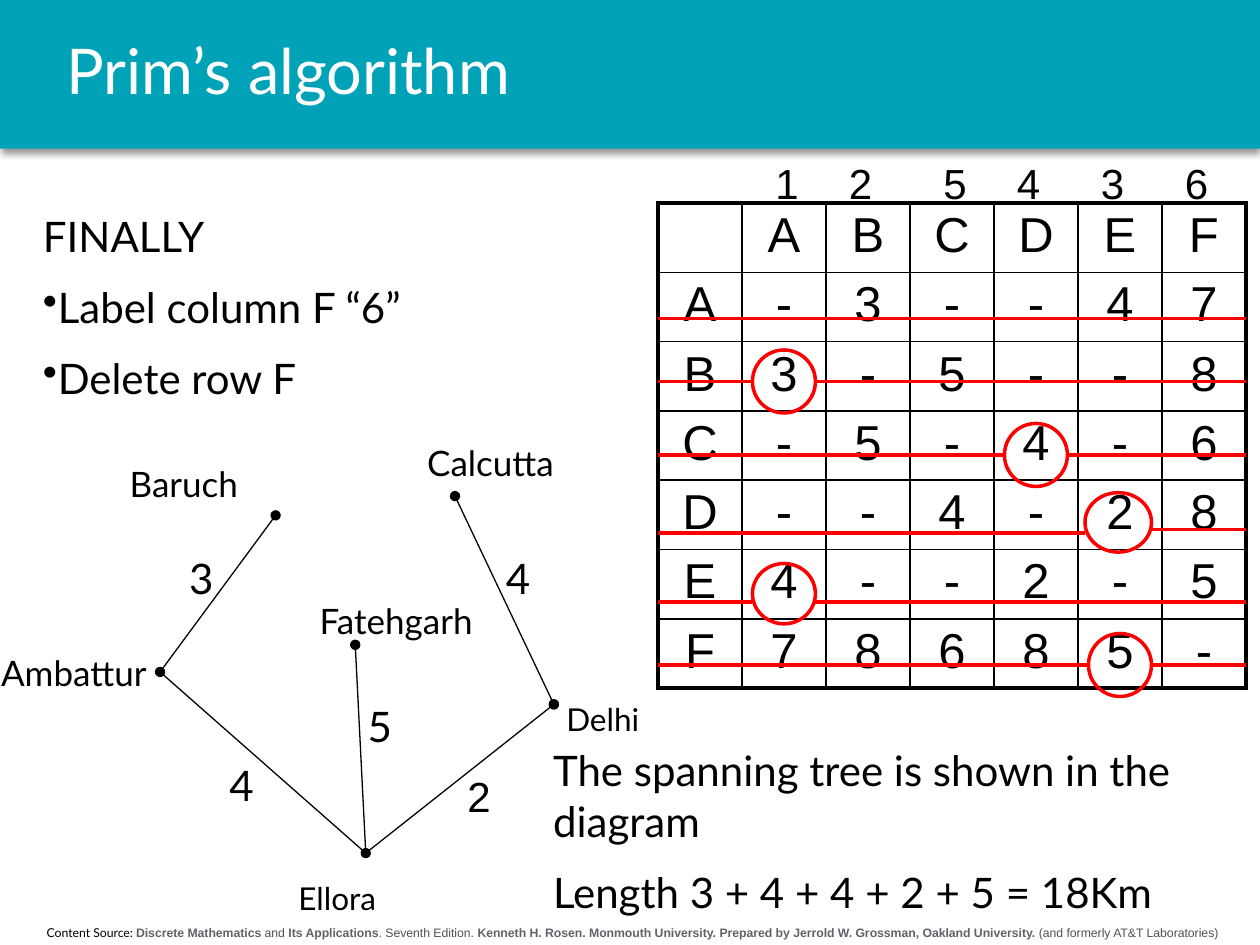
"""Builds the closing slide of a worked example of Prim's algorithm."""
from typing import NamedTuple, Optional

from lxml import etree
from pptx import Presentation
from pptx import util as u
from pptx.dml import color
from pptx.enum import shapes, text
from pptx.oxml import ns

BLACK, RED, TEAL, WHITE = "000000", "FF0000", "00A2B8", "FFFFFF"
TABLE_LEFT, TABLE_TOP, COLUMN_WIDTH, ROW_HEIGHT = 376, 116, 48, 38.4


class Span(NamedTuple):
    text: str
    size: float = 24
    font: str = "Lato"
    color: str = BLACK
    bold: bool = False


class Label(NamedTuple):
    left: float
    top: float
    width: float
    height: float
    span: Span


class Circle(NamedTuple):
    left: float
    top: float
    width: float
    height: float


class Strike(NamedTuple):
    left_y: float
    right_y: float
    circle: Optional[Circle] = None


class Edge(NamedTuple):
    start: str
    end: str
    dot_at_start: bool = False


MATRIX = [" ABCDEF", "A-3--47", "B3-5--8", "C-5-4-6", "D--4-28", "E4--2-5", "F78685-"]
COLUMN_ORDER = [(436, "1"), (478, "2"), (532, "5"), (574, "4"), (622, "3"), (670, "6")]
STRIKES = [
    Strike(182, 182),
    Strike(218, 218, Circle(430, 200, 36, 36)),
    Strike(260, 260, Circle(574, 242, 36, 36)),
    Strike(304.5, 302.5, Circle(620, 281.5, 38, 34)),
    Strike(344, 344, Circle(430, 322, 36, 34.5)),
    Strike(380, 380, Circle(622, 362, 36, 36)),
]
TOWNS = {
    "Ambattur": (91.5, 384),
    "Baruch": (157.5, 294.5),
    "Calcutta": (260, 283.5),
    "Delhi": (316.5, 402.5),
    "Ellora": (209, 487.5),
    "Fatehgarh": (203, 368.5),
}
EDGES = [
    Edge("Ambattur", "Baruch", True),
    Edge("Ambattur", "Ellora"),
    Edge("Ellora", "Delhi"),
    Edge("Calcutta", "Delhi", True),
    Edge("Ellora", "Fatehgarh"),
]
LABELS = [
    Label(-6.5, 368.5, 107, 31.5, Span("Ambattur", 20)),
    Label(67, 260.5, 111, 31, Span("Baruch", 20)),
    Label(237, 249, 102, 31, Span("Calcutta", 20)),
    Label(175.5, 339, 109.5, 31.5, Span("Fatehgarh", 20)),
    Label(163.5, 499, 75, 29, Span("Ellora", 18)),
    Label(316.5, 396.5, 109, 29, Span("Delhi", 18)),
    Label(101, 312, 45, 36, Span("3")),
    Label(124, 430.5, 45, 36, Span("4")),
    Label(260, 436.5, 51, 36, Span("2", font="Arial")),
    Label(282, 312, 51, 36, Span("4")),
    Label(203, 396.5, 51, 36, Span("5")),
] + [Label(left, 86.5, 30, 36, Span(digit, font="Arial")) for left, digit in COLUMN_ORDER]


def source_span(words: str, bold: bool) -> Span:
    """Return one piece of the source line."""
    return Span(words, 7, "Arial", "5F6368" if bold else "4D5156", bold)


SOURCE = [
    Span("Content Source: ", 7),
    source_span("Discrete Mathematics", True),
    source_span(" and ", False),
    source_span("Its Applications", True),
    source_span(". Seventh Edition. ", False),
    source_span("Kenneth H. Rosen. Monmouth University. Prepared by Jerrold W. Grossman, "
                "Oakland University.", True),
    source_span(" (and formerly AT&T Laboratories)", False),
]


def rgb(value: str) -> color.RGBColor:
    """Turn a hex string into a colour."""
    return color.RGBColor.from_string(value)


def add_element(parent, tag: str, **attributes: str):
    """Append a drawing element to a parent."""
    return etree.SubElement(parent, ns.qn(tag), attributes)


def apply(target, values: dict) -> None:
    """Set each named attribute on the target."""
    for name, value in values.items():
        setattr(target, name, value)


def write(para, spans: list, **formats) -> None:
    """Fill a paragraph with formatted spans."""
    apply(para, formats)
    for span in spans:
        run = para.add_run()
        run.text = span.text
        apply(run.font, {"name": span.font, "size": u.Pt(span.size), "bold": span.bold})
        run.font.color.rgb = rgb(span.color)


def add_box(page, left: float, top: float, width: float, height: float):
    """Add a wrapping text box and return its text frame."""
    frame = page.shapes.add_textbox(*map(u.Pt, (left, top, width, height))).text_frame
    apply(frame, {"word_wrap": True, "auto_size": text.MSO_AUTO_SIZE.SHAPE_TO_FIT_TEXT})
    return frame


def add_lines(frame, lines: list, bulleted_from: int) -> None:
    """Write spaced paragraphs, with bullets from a given index on."""
    for index, words in enumerate(lines):
        para = frame.add_paragraph() if index else frame.paragraphs[0]
        if index >= bulleted_from:
            add_element(para._p.get_or_add_pPr(), "a:buChar", char="•")
        write(para, [Span(words)], space_before=u.Pt(12 if index else 0))


def add_line(page, start: tuple, end: tuple, hue: str, weight: float, ends: tuple = ()) -> None:
    """Draw a straight line with a dot at each named end."""
    line = page.shapes.add_connector(shapes.MSO_CONNECTOR.STRAIGHT, *map(u.Pt, start + end))
    line.line.color.rgb = rgb(hue)
    line.line.width = u.Pt(weight)
    for tag in ends:
        add_element(line.line._get_or_add_ln(), tag, type="oval")
    add_element(line._element.spPr, "a:effectLst")


def add_banner(page) -> None:
    """Draw the title band with its soft shadow and title."""
    band = page.shapes.add_shape(shapes.MSO_SHAPE.RECTANGLE, 0, 0, u.Pt(720), u.Pt(85))
    band.fill.solid()
    band.fill.fore_color.rgb = rgb(TEAL)
    band.line.fill.background()
    band.shadow.inherit = False
    effects = band._element.spPr.find(ns.qn("a:effectLst"))
    shadow = add_element(effects, "a:outerShdw", blurRad=str(u.Pt(4)), dist=str(u.Pt(3)),
                         dir="5400000", rotWithShape="0")
    add_element(add_element(shadow, "a:srgbClr", val=BLACK), "a:alpha", val="40000")
    frame = add_box(page, 31, 0, 670, 85)
    apply(frame, {"auto_size": text.MSO_AUTO_SIZE.NONE, "vertical_anchor": text.MSO_ANCHOR.MIDDLE})
    write(frame.paragraphs[0], [Span("Prim’s algorithm", 36, color=WHITE)], line_spacing=0.9)


def add_borders(cell, outer_sides: dict) -> None:
    """Give a cell thick borders on outer sides and thin ones elsewhere."""
    properties = cell._tc.get_or_add_tcPr()
    for position, (tag, outer) in enumerate(outer_sides.items()):
        border = add_element(properties, tag, w=str(u.Pt(2.25 if outer else 1)))
        add_element(add_element(border, "a:solidFill"), "a:srgbClr", val=BLACK)
        properties.insert(position, border)


def add_matrix(page) -> None:
    """Add the table of distances."""
    count = len(MATRIX)
    table = page.shapes.add_table(count, count, *map(u.Pt, (
        TABLE_LEFT, TABLE_TOP, COLUMN_WIDTH * count, ROW_HEIGHT * count))).table
    apply(table, {"first_row": False, "horz_banding": False})
    for row, values in enumerate(MATRIX):
        table.rows[row].height = u.Pt(ROW_HEIGHT)
        table.columns[row].width = u.Pt(COLUMN_WIDTH)
        for column, value in enumerate(values):
            cell = table.cell(row, column)
            cell.fill.background()
            apply(cell, {"margin_top": u.Pt(3), "margin_bottom": u.Pt(3)})
            add_borders(cell, {"a:lnL": column == 0, "a:lnR": column == count - 1,
                               "a:lnT": row == 0, "a:lnB": row == count - 1})
            if value.strip():
                write(cell.text_frame.paragraphs[0], [Span(value, 28, "Arial")],
                      alignment=text.PP_ALIGN.CENTER)


def add_strike(page, strike: Strike) -> None:
    """Cross out a matrix row, leaving its circled value open."""
    right = TABLE_LEFT + COLUMN_WIDTH * len(MATRIX)
    circle = strike.circle
    if circle is None:
        add_line(page, (TABLE_LEFT, strike.left_y), (right, strike.right_y), RED, 2)
        return
    ring = page.shapes.add_shape(shapes.MSO_SHAPE.OVAL, *map(u.Pt, circle))
    ring.fill.background()
    ring.line.color.rgb = rgb(RED)
    ring.line.width = u.Pt(2)
    ring.shadow.inherit = False
    add_line(page, (TABLE_LEFT, strike.left_y), (circle.left, strike.left_y), RED, 2)
    add_line(page, (circle.left + circle.width, strike.right_y), (right, strike.right_y), RED, 2)


def main() -> None:
    """Build and save the slide."""
    deck = Presentation()
    apply(deck, {"slide_width": u.Pt(720), "slide_height": u.Pt(540)})
    page = deck.slides.add_slide(deck.slide_layouts[6])
    add_banner(page)
    write(add_box(page, 3, 525, 717, 16).paragraphs[0], SOURCE, alignment=text.PP_ALIGN.CENTER)
    add_matrix(page)
    for strike in STRIKES:
        add_strike(page, strike)
    add_lines(add_box(page, 17.5, 116.5, 222, 124),
              ["FINALLY", "Label column F “6”", "Delete row F"], 1)
    add_lines(add_box(page, 309, 422, 446, 109),
              ["The spanning tree is shown in the diagram", "Length 3 + 4 + 4 + 2 + 5 = 18Km"], 2)
    for edge in EDGES:
        ends = ("a:headEnd", "a:tailEnd") if edge.dot_at_start else ("a:tailEnd",)
        add_line(page, TOWNS[edge.start], TOWNS[edge.end], BLACK, 0.75, ends)
    for label in LABELS:
        write(add_box(page, *label[:4]).paragraphs[0], [label.span])
    deck.save("out.pptx")


if __name__ == "__main__":
    main()
